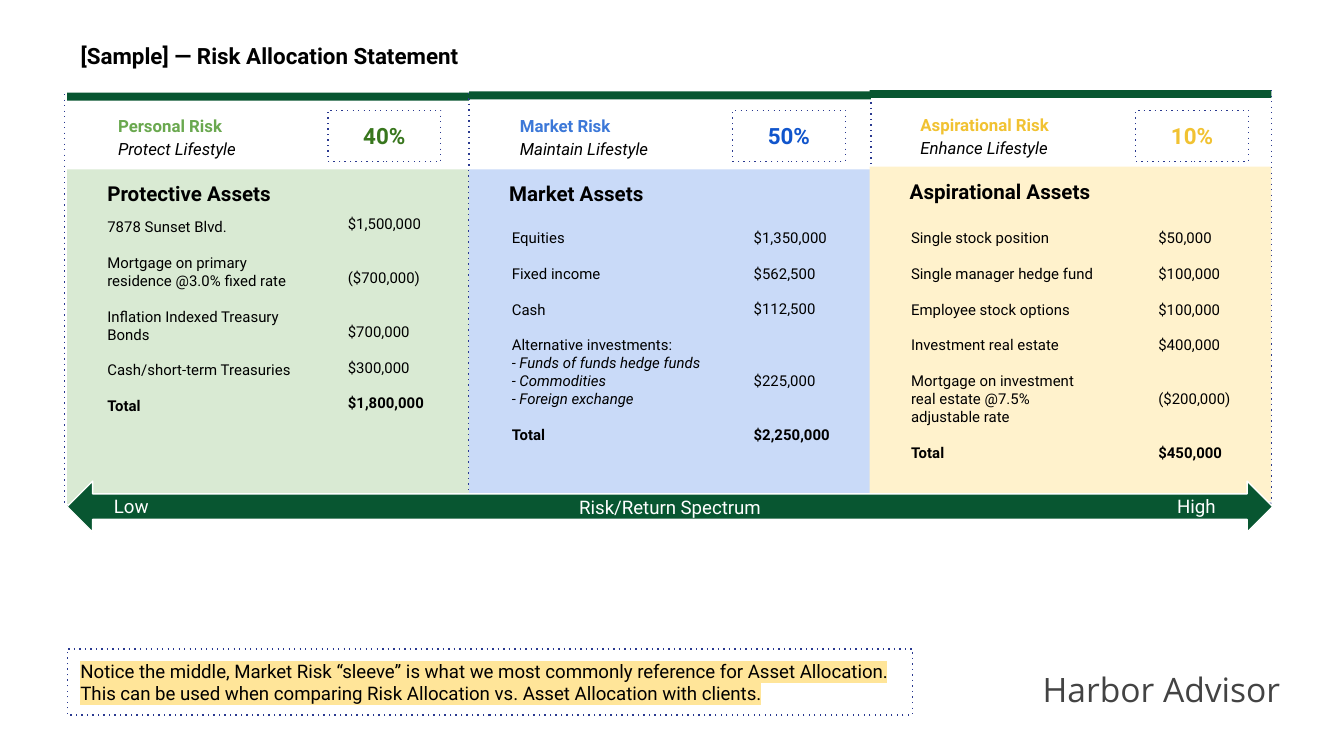
from dataclasses import dataclass
from typing import NamedTuple

import lxml.etree
import pptx
import pptx.dml.color
import pptx.enum.dml
import pptx.enum.shapes
import pptx.enum.text
import pptx.oxml.ns
import pptx.util

Inches = pptx.util.Inches
Pt = pptx.util.Pt
RGBColor = pptx.dml.color.RGBColor
Shape = pptx.enum.shapes.MSO_SHAPE
Anchor = pptx.enum.text.MSO_ANCHOR
Align = pptx.enum.text.PP_ALIGN
qn = pptx.oxml.ns.qn

BLACK = RGBColor(0x00, 0x00, 0x00)
WHITE = RGBColor(0xFF, 0xFF, 0xFF)
GRAY = RGBColor(0x43, 0x43, 0x43)
NAVY = RGBColor(0x2A, 0x39, 0x90)
FOREST = RGBColor(0x08, 0x56, 0x31)
GREEN = RGBColor(0x6A, 0xA8, 0x4F)
DARK_GREEN = RGBColor(0x38, 0x76, 0x1D)
PALE_GREEN = RGBColor(0xD9, 0xEA, 0xD3)
BLUE = RGBColor(0x3C, 0x78, 0xD8)
DARK_BLUE = RGBColor(0x11, 0x55, 0xCC)
PALE_BLUE = RGBColor(0xC9, 0xDA, 0xF8)
GOLD = RGBColor(0xF1, 0xC2, 0x32)
PALE_GOLD = RGBColor(0xFF, 0xF2, 0xCC)
CREAM = RGBColor(0xFF, 0xE5, 0x99)

COLUMN_WIDTH = 2.99
SLEEVE_LEFTS = (0.5, 3.49, 6.47)
LIST_LINE = 9.6  # points in one line of a list


class Line(NamedTuple):
    """One paragraph; gap counts the list lines left free above it."""
    text: str
    size: float = 8
    color: RGBColor = BLACK
    bold: bool = False
    italic: bool = False
    gap: int = 1
    font: str = "Roboto"


class Box(NamedTuple):
    left: float
    top: float
    width: float
    height: float


@dataclass
class Sleeve:
    risk: str
    goal: str
    share: str
    heading: str
    accent: RGBColor
    share_color: RGBColor
    fill: RGBColor
    band_top: float
    label_top: float
    body: tuple[float, float]  # top and height
    share_left: float
    names_box: Box
    names: list[Line]
    amounts_box: Box
    amounts: list[Line]


SLEEVES = [
    Sleeve("Personal Risk", "Protect Lifestyle", "40%", "Protective Assets",
           GREEN, DARK_GREEN, PALE_GREEN, 0.69, 0.74, (1.26, 2.49), 2.44,
           Box(0.7, 1.52, 1.61, 2.12),
           [Line("7878 Sunset Blvd."),
            Line("Mortgage on primary residence @3.0% fixed rate"),
            Line("Inflation Indexed Treasury Bonds"),
            Line("Cash/short-term Treasuries"),
            Line("Total", bold=True)],
           Box(2.49, 1.5, 0.84, 1.93),
           [Line("$1,500,000"), Line("($700,000)", gap=2),
            Line("$700,000", gap=2), Line("$300,000"),
            Line("$1,800,000", bold=True)]),
    Sleeve("Market Risk", "Maintain Lifestyle", "50%", "Market Assets",
           BLUE, DARK_BLUE, PALE_BLUE, 0.68, 0.74, (1.26, 2.53), 5.45,
           Box(3.71, 1.6, 1.75, 1.98),
           [Line("Equities"), Line("Fixed income"), Line("Cash"),
            Line("Alternative investments:"),
            Line("- Funds of funds hedge funds", italic=True, gap=0),
            Line("- Commodities", italic=True, gap=0),
            Line("- Foreign exchange", italic=True, gap=0),
            Line("Total", bold=True)],
           Box(5.51, 1.6, 0.84, 1.93),
           [Line("$1,350,000"), Line("$562,500"), Line("$112,500"),
            Line("$225,000", gap=3), Line("$2,250,000", bold=True, gap=2)]),
    Sleeve("Aspirational Risk", "Enhance Lifestyle", "10%",
           "Aspirational Assets",
           GOLD, GOLD, PALE_GOLD, 0.67, 0.73, (1.24, 2.49), 8.45,
           Box(6.68, 1.6, 1.61, 2.35),
           [Line("Single stock position"), Line("Single manager hedge fund"),
            Line("Employee stock options"), Line("Investment real estate"),
            Line("Mortgage on investment real estate @7.5% adjustable rate"),
            Line("Total", bold=True)],
           Box(8.52, 1.6, 0.78, 1.98),
           [Line("$50,000"), Line("$100,000"), Line("$100,000"),
            Line("$400,000"), Line("($200,000)", gap=2),
            Line("$450,000", bold=True, gap=2)]),
]


def write(sp, lines: list[Line], anchor=Anchor.TOP, align=Align.LEFT,
          spacing: float = 1.0) -> None:
    tf = sp.text_frame
    tf.text = "\n".join(line.text for line in lines)
    tf.word_wrap = True
    tf.auto_size = pptx.enum.text.MSO_AUTO_SIZE.NONE
    tf.vertical_anchor = anchor
    tf.margin_left = tf.margin_right = Inches(0.1)
    tf.margin_top = tf.margin_bottom = Inches(0.1)
    for i, (p, line) in enumerate(zip(tf.paragraphs, lines)):
        p.alignment = align
        p.line_spacing = spacing
        p.space_before = Pt(LIST_LINE * line.gap if i else 0)
        font = p.runs[0].font
        font.name = line.font
        font.size = Pt(line.size)
        font.bold = line.bold
        font.italic = line.italic
        font.color.rgb = line.color


def add_text(slide, box: Box, lines: list[Line], **layout) -> None:
    write(slide.shapes.add_textbox(*map(Inches, box)), lines, **layout)


def add_block(slide, box: Box, fill: RGBColor | None = None, kind=Shape.RECTANGLE):
    """Add a preset shape without outline or shadow."""
    sp = slide.shapes.add_shape(kind, *map(Inches, box))
    sp.shadow.inherit = False
    sp.line.fill.background()
    if fill is None:
        sp.fill.background()
    else:
        sp.fill.solid()
        sp.fill.fore_color.rgb = fill
    return sp


def make_dotted(sp) -> None:
    sp.line.color.rgb = NAVY
    sp.line.width = Pt(0.75)
    sp.line.dash_style = pptx.enum.dml.MSO_LINE.ROUND_DOT
    sp.element.xpath(".//a:prstDash")[0].set("val", "dot")


def add_dotted_box(slide, box: Box, line: Line, align=Align.LEFT):
    sp = add_block(slide, box)
    make_dotted(sp)
    write(sp, [line], Anchor.MIDDLE, align)
    return sp


def add_divider(slide, x: float, top: float, bottom: float) -> None:
    cxn = slide.shapes.add_connector(
        pptx.enum.shapes.MSO_CONNECTOR.STRAIGHT,
        Inches(x), Inches(top), Inches(x), Inches(bottom))
    make_dotted(cxn)
    lxml.etree.SubElement(cxn.element.spPr, qn("a:effectLst"))


def highlight(sp, color: RGBColor) -> None:
    for fill in sp.element.xpath(".//a:rPr/a:solidFill"):
        mark = lxml.etree.Element(qn("a:highlight"))
        lxml.etree.SubElement(mark, qn("a:srgbClr"), val=str(color))
        fill.addnext(mark)


def add_panel(slide, left: float, s: Sleeve) -> None:
    top, height = s.body
    bottom = top + height
    add_block(slide, Box(left, top, COLUMN_WIDTH, height), s.fill)
    add_block(slide, Box(left, s.band_top, COLUMN_WIDTH, 0.06), FOREST)
    add_block(slide, Box(left, bottom + 0.01, COLUMN_WIDTH, 0.01), NAVY)
    add_text(slide, Box(left + 0.28, s.label_top, 1.88, 0.28),
             [Line(s.risk, 9, s.accent, bold=True),
              Line(s.goal, 9, italic=True, gap=0)], spacing=1.15)
    add_text(slide, Box(left + 0.2, top - 0.01, 2.42, 0.36),
             [Line(s.heading, 11, bold=True)])
    add_divider(slide, left + COLUMN_WIDTH, s.band_top, bottom)


def add_details(slide, s: Sleeve) -> None:
    add_dotted_box(slide, Box(s.share_left, 0.82, 0.84, 0.38),
                   Line(s.share, 12, s.share_color, bold=True), Align.CENTER)
    add_text(slide, s.names_box, s.names)
    add_text(slide, s.amounts_box, s.amounts)


def add_spectrum(slide) -> None:
    arrow = add_block(slide, Box(0.5, 3.58, 8.97, 0.38), FOREST,
                      Shape.LEFT_RIGHT_ARROW)
    arrow.line.color.rgb = WHITE
    arrow.line.width = Pt(0.75)
    write(arrow, [Line("Risk/Return Spectrum", 10, WHITE)],
          Anchor.MIDDLE, Align.CENTER)
    for left, text in ((0.75, "Low"), (8.66, "High")):
        add_text(slide, Box(left, 3.67, 1.3, 0.19), [Line(text, 10, WHITE)],
                 anchor=Anchor.MIDDLE)


def main() -> None:
    prs = pptx.Presentation()
    prs.slide_width = Inches(10)
    prs.slide_height = prs.slide_width * 9 // 16
    slide = prs.slides.add_slide(prs.slide_layouts[5])

    note = add_dotted_box(slide, Box(0.5, 4.83, 6.29, 0.49), Line(
        "Notice the middle, Market Risk “sleeve” is what we most commonly "
        "reference for Asset Allocation. This can be used when comparing "
        "Risk Allocation vs. Asset Allocation with clients.", 10))
    highlight(note, CREAM)
    title = slide.shapes.title
    title.left, title.top, title.width, title.height = map(
        Inches, Box(0.5, 0.21, 8.69, 0.49))
    write(title, [Line("[Sample] — Risk Allocation Statement", 12, bold=True)])
    add_text(slide, Box(7.66, 4.88, 2.3, 0.55),
             [Line("Harbor Advisor", 18, GRAY, font="Open Sans")])

    for left, sleeve in zip(SLEEVE_LEFTS, SLEEVES):
        add_panel(slide, left, sleeve)
    add_spectrum(slide)
    for sleeve in SLEEVES:
        add_details(slide, sleeve)
    add_divider(slide, 0.48, 0.7, 3.76)
    prs.save("out.pptx")


if __name__ == "__main__":
    main()
